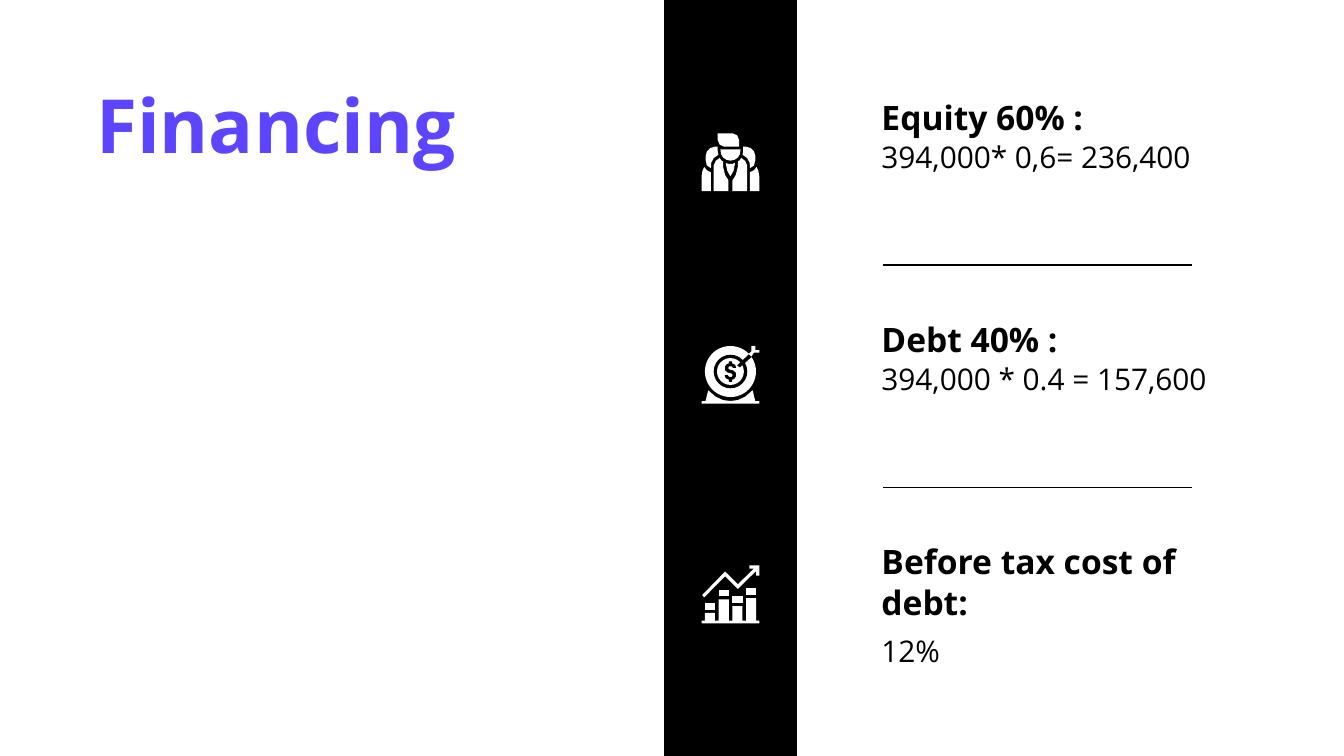
from pptx import Presentation
from pptx.dml.color import RGBColor
from pptx.enum.shapes import MSO_CONNECTOR, MSO_SHAPE
from pptx.enum.text import MSO_ANCHOR, PP_ALIGN
from pptx.oxml.ns import qn
from pptx.util import Cm, Pt

RECTANGLE = MSO_SHAPE.RECTANGLE
OVAL = MSO_SHAPE.OVAL
STRAIGHT = MSO_CONNECTOR.STRAIGHT
TOP, MIDDLE = MSO_ANCHOR.TOP, MSO_ANCHOR.MIDDLE
LEFT = PP_ALIGN.LEFT
BLACK = RGBColor(0x00, 0x00, 0x00)
WHITE = RGBColor(0xFF, 0xFF, 0xFF)
VIOLET = RGBColor(0x5D, 0x44, 0xFF)
FONT = "Open Sans"
ICON_SIZE = 43
ICON_UNIT = 0.0254
STEPS = 10


def add_text(slide, text, box, size, color, bold=False, anchor=TOP, spacing=None):
    shape = slide.shapes.add_textbox(*map(Cm, box))
    frame = shape.text_frame
    frame.text = text
    frame.word_wrap = True
    frame.vertical_anchor = anchor
    frame.margin_left = frame.margin_right = Cm(0.25)
    frame.margin_top = frame.margin_bottom = Cm(0.25)
    paragraph = frame.paragraphs[0]
    paragraph.alignment = LEFT
    paragraph.line_spacing = spacing
    font = paragraph.runs[0].font
    font.name, font.size, font.bold = FONT, Pt(size), bold
    font.color.rgb = color


def paint(shape, color):
    shape.shadow.inherit = False
    shape.fill.solid()
    shape.fill.fore_color.rgb = color
    shape.line.fill.background()


def add_preset(slide, kind, box, color):
    paint(slide.shapes.add_shape(kind, *map(Cm, box)), color)


def add_outline(slide, left, top, points, color=WHITE):
    fine = [(x * STEPS, y * STEPS) for x, y in points]
    builder = slide.shapes.build_freeform(*fine[0], scale=Cm(ICON_UNIT) / STEPS)
    builder.add_line_segments(fine[1:], close=True)
    paint(builder.convert_to_shape(Cm(left), Cm(top)), color)


def add_disc(slide, left, top, center, radius, color):
    x, y = center
    side = 2 * radius * ICON_UNIT
    box = (left + (x - radius) * ICON_UNIT, top + (y - radius) * ICON_UNIT, side, side)
    add_preset(slide, OVAL, box, color)


def mirror(points):
    return [(ICON_SIZE - x, y) for x, y in points]


def symmetric(half):
    return half + mirror(half)[::-1]


def draw_team(slide, left, top):
    body = [(13.5, 18.3), (10.5, 20.5), (9, 24), (9, 43), (20, 43), (20, 35),
            (17.5, 31), (16, 25), (16, 21), (14.5, 20)]
    shoulder = [(10, 10), (12, 10), (12, 13), (12.5, 16), (9, 18.5), (7.2, 22),
                (7, 26), (4, 24), (3, 20), (3, 17), (4, 13.5), (6.5, 11)]
    arm = [(2, 25), (4, 27.5), (7, 29), (7, 43), (0, 43), (0, 32), (0.7, 28)]
    for side in (body, shoulder, arm):
        add_outline(slide, left, top, side)
        add_outline(slide, left, top, mirror(side))
    collar = [(21.5, 32), (19.2, 28), (18, 22), (20, 22.8)]
    face = [(21.5, 20.4), (18.5, 19.7), (16, 18), (14.5, 15.5), (14, 12)]
    hair = [(12, 0), (23, 0), (26.5, 1.5), (28, 5), (28, 10), (17, 10),
            (13.5, 8.5), (12, 5)]
    for outline in (symmetric(collar), symmetric(face), hair):
        add_outline(slide, left, top, outline)


def draw_target(slide, left, top):
    center = (21.5, 19)
    for radius, color in ((19, WHITE), (12.5, BLACK), (10, WHITE)):
        add_disc(slide, left, top, center, radius, color)
    shaft = [(26.5, 14.5), (28.5, 16), (37.5, 8), (35.5, 6)]
    dollar = [(20.3, 11.5), (22.7, 11.5), (22.7, 13), (25, 14), (25.8, 16.3),
              (23.4, 16.3), (22.5, 15.2), (20.5, 15.2), (19.8, 16.5),
              (20.7, 17.6), (23.5, 18.2), (25.5, 20), (25.5, 22.8),
              (24.5, 24.4), (22.7, 25.2), (22.7, 26.7), (20.3, 26.7),
              (20.3, 25.2), (18, 24), (17.2, 21.8), (19.6, 21.8),
              (20.5, 23), (22.5, 23), (23.3, 21.7), (22.4, 20.5),
              (19.5, 19.8), (17.5, 18), (17.5, 15.5), (18.5, 13.8), (20.3, 13)]
    add_outline(slide, left, top, shaft, BLACK)
    add_outline(slide, left, top, dollar, BLACK)
    base = [(21.5, 41), (16, 40.3), (10.5, 37.8), (5, 33), (3, 41), (0, 41), (0, 43)]
    feather = [(37, 0), (40, 0), (40, 3), (43, 3), (43, 5), (39, 5), (37, 8),
               (35, 6), (37, 4)]
    add_outline(slide, left, top, symmetric(base))
    add_outline(slide, left, top, feather)


def draw_growth(slide, left, top):
    columns = ((2.5, 28), (12.8, 18), (23, 23), (33.2, 17))
    width, cap, gap = 7.5, 5, 2.2
    bars = [(0, 43), (0, 41)]
    for x, y in columns:
        add_outline(slide, left, top,
                    [(x, y), (x + width, y), (x + width, y + cap), (x, y + cap)])
        start = y + cap + gap
        bars += [(x, 41), (x, start), (x + width, start), (x + width, 41)]
    add_outline(slide, left, top, bars + [(43, 41), (43, 43)])
    arrow = [(35.5, 0), (35.5, 2.3), (39, 2.3), (27, 14), (17.5, 4.5), (0.5, 22),
             (2, 23.7), (17.5, 8), (27, 17.5), (40.7, 4), (40.7, 7.5),
             (43, 7.5), (43, 0)]
    add_outline(slide, left, top, arrow)


def draw_band(slide, left, top, width, height):
    add_preset(slide, RECTANGLE, (left, top, width, height), BLACK)


def draw_entry(slide, left, top, width, heading, value, value_offset):
    add_text(slide, heading, (left, top, width, 1.09), 18, BLACK, bold=True)
    add_text(slide, value, (left, top + value_offset, width, 1.83), 16, BLACK)


def draw_rule(slide, left, top, width):
    rule = slide.shapes.add_connector(STRAIGHT, Cm(left), Cm(top), Cm(left + width), Cm(top))
    rule.line.color.rgb = BLACK
    rule.line.width = Pt(0.75)
    properties = rule._element.spPr
    properties.append(properties.makeelement(qn("a:effectLst"), {}))


def draw_financing(slide, width, height):
    add_text(slide, "Financing", (1.57, 1.04, 10.16, 2.92), 40, VIOLET,
             bold=True, anchor=MIDDLE, spacing=0.8)
    band_left, band_width = 12.55, 2.51
    draw_band(slide, band_left, 0, band_width, height)
    icon_left = band_left + (band_width - ICON_SIZE * ICON_UNIT) / 2
    entries = (
        ("Equity 60% :", "394,000* 0,6= 236,400", 0.79, draw_team, 0.94),
        ("Debt 40% :", "394,000 * 0.4 = 157,600", 0.79, draw_target, 0.76),
        ("Before tax cost of debt:", "12%", 1.73, draw_growth, 0.71),
    )
    first_top, pitch, entry_left = 1.58, 4.2, 16.41
    for index, (heading, value, value_offset, draw_icon, icon_offset) in enumerate(entries):
        top = first_top + index * pitch
        draw_entry(slide, entry_left, top, 7.39, heading, value, value_offset)
        draw_icon(slide, icon_left, top + icon_offset)
        if index < len(entries) - 1:
            draw_rule(slide, entry_left + 0.28, top + 3.43, 5.84)


presentation = Presentation()
page_width, page_height = 25.4, 14.29
presentation.slide_width = Cm(page_width)
presentation.slide_height = Cm(page_height)
financing_slide = presentation.slides.add_slide(presentation.slide_layouts[6])
draw_financing(financing_slide, page_width, page_height)
presentation.save("out.pptx")
